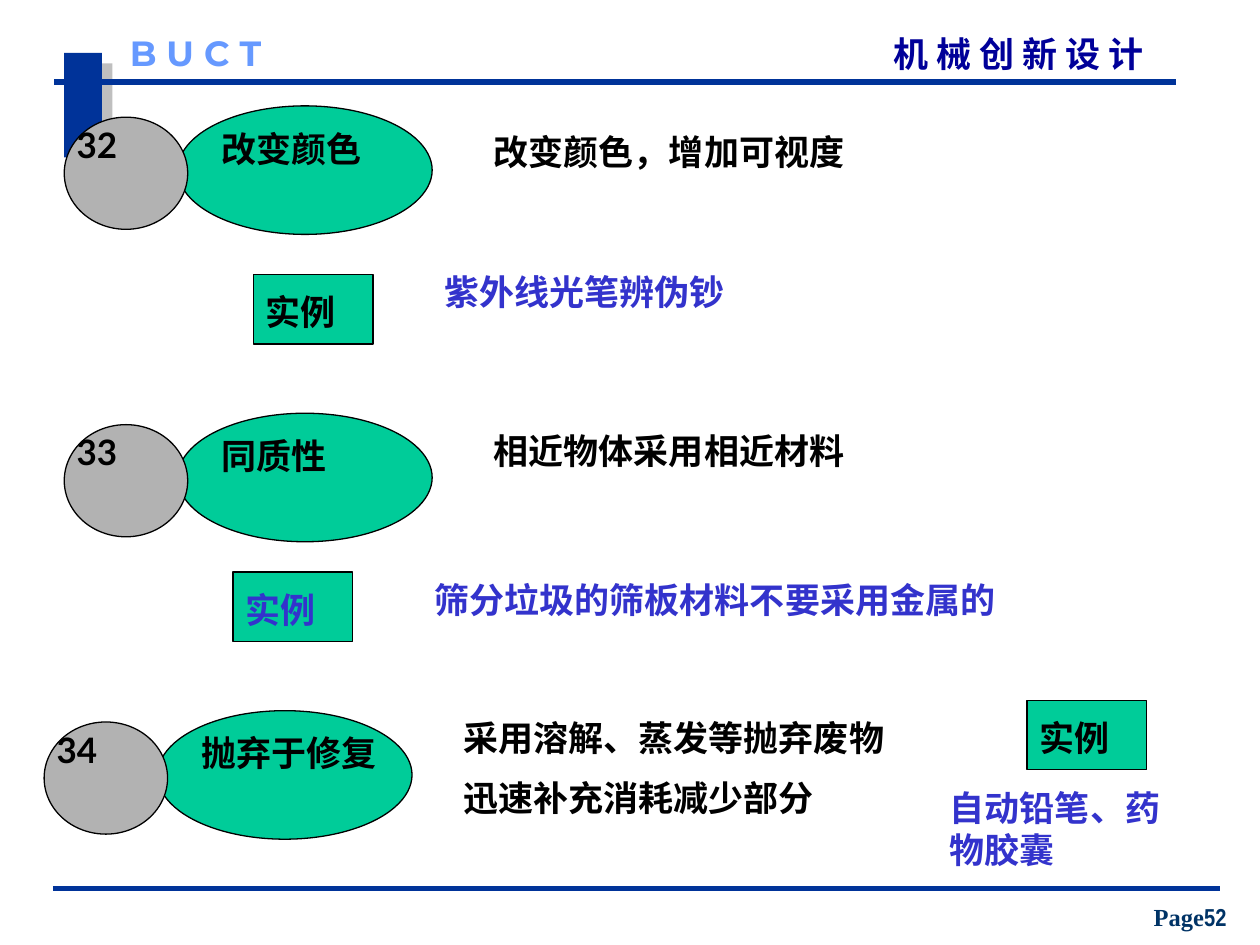
from dataclasses import dataclass

from lxml import etree
from pptx import Presentation
from pptx.dml.color import RGBColor
from pptx.enum import shapes as kinds, text as styles
from pptx.oxml.ns import qn
from pptx.util import Inches, Pt


@dataclass(frozen=True)
class Theme:
    """Colours, fonts and sizes of the deck."""
    navy: str = "003399"
    title: str = "000099"
    brand: str = "6699FF"
    page: str = "003366"
    green: str = "00CC99"
    gray: str = "B2B2B2"
    shade: str = "808080"
    ink: str = "000000"
    blue: str = "3333CC"
    body: str = "Lato"
    asian: str = "Noto Sans CJK SC"
    logo: str = "Montserrat"
    serif: str = "Times New Roman"
    narrow: str = "Arial Narrow"
    size: int = 20
    small: int = 14
    thin: float = 0.75
    thick: float = 3


T = Theme()


def rgb(code):
    """Turn a hex code into a colour."""
    return RGBColor.from_string(code)


def write(parts, box, lines, color=T.ink, font=T.body, size=T.size, inset=True):
    """Write bold lines in a text box and return its frame."""
    frame = parts.add_textbox(*map(Inches, box)).text_frame
    frame.word_wrap = True
    if not inset:
        frame.margin_left = frame.margin_right = 0
        frame.margin_top = frame.margin_bottom = 0
    frame.text = "\n".join(lines)
    for i, para in enumerate(frame.paragraphs):
        if i:
            para.space_before = Pt(size / 2)
        para.font.name = font
        para.font.size = Pt(size)
        para.font.bold = True
        para.font.color.rgb = rgb(color)
        etree.SubElement(para.font._rPr, qn("a:ea"), typeface=T.asian)
    return frame


def draw(parts, kind, box, fill, edge=True):
    """Draw a filled preset shape."""
    shape = parts.add_shape(kind, *map(Inches, box))
    shape.shadow.inherit = False
    shape.fill.solid()
    shape.fill.fore_color.rgb = rgb(fill)
    if edge:
        shape.line.color.rgb = rgb(T.ink)
        shape.line.width = Pt(T.thin)
    else:
        shape.line.fill.background()
    return shape


def cast(shape):
    """Give a shape a half-clear shadow to the lower right."""
    effects = shape._element.spPr.find(qn("a:effectLst"))
    outer = etree.SubElement(effects, qn("a:outerShdw"), dist=str(Pt(8.5)),
                             dir="2700000", algn="ctr", rotWithShape="0")
    tint = etree.SubElement(outer, qn("a:srgbClr"), val=T.shade)
    etree.SubElement(tint, qn("a:alpha"), val="50000")


def rule(parts, left, right, y):
    """Draw a thick level line."""
    line = parts.add_connector(kinds.MSO_CONNECTOR.STRAIGHT,
                               *map(Inches, (left, y, right, y)))
    line.line.color.rgb = rgb(T.navy)
    line.line.width = Pt(T.thick)
    etree.SubElement(line._element.spPr, qn("a:effectLst"))


def header(parts, left, top):
    """Place the tab, rule, school name and course title."""
    cast(draw(parts, kinds.MSO_SHAPE.RECTANGLE,
              (left + 0.08, top + 0.17, 0.3, 0.83), T.navy, False))
    rule(parts, left, left + 8.9, top + 0.4)
    write(parts, (left + 6.66, top + 0.01, 2.45, 0.33), ["机 械 创 新 设 计"],
          T.title, T.asian, inset=False)
    write(parts, (left + 0.6, top, 1.42, 0.33), ["B U C T"],
          T.brand, T.logo, inset=False)


def footer(parts, left, top):
    """Place the bottom rule and page number."""
    rule(parts, left, left + 9.26, top)
    frame = write(parts, (left + 8.55, top + 0.06, 0.95, 0.33), ["Page"],
                  T.page, T.serif, T.small)
    frame.vertical_anchor = styles.MSO_ANCHOR.BOTTOM
    para = frame.paragraphs[0]
    para.alignment = styles.PP_ALIGN.CENTER
    run = para.add_run()
    run.text = "52"
    run.font.name = T.narrow


def badge(parts, left, top, number, name):
    """Place a numbered disc beside a named oval."""
    group = parts.add_group_shape().shapes
    oval = kinds.MSO_SHAPE.OVAL
    draw(group, oval, (left + 0.9, top, 2.02, 1.02), T.green)
    write(group, (left + 1.15, top + 0.12, 1.64, 0.5), [name])
    draw(group, oval, (left, top + 0.09, 0.98, 0.89), T.gray)
    write(group, (left, top + 0.09, 0.65, 0.5), [number])


def sample(parts, left, top, color, note, box):
    """Place an example tag and its note."""
    group = parts.add_group_shape().shapes
    draw(group, kinds.MSO_SHAPE.RECTANGLE, (left, top, 0.95, 0.55), T.green)
    write(group, (left, top + 0.08, 0.95, 0.5), ["实例"], color)
    write(parts, box, [note], T.blue)


def main():
    """Build and save the slide."""
    deck = Presentation()
    deck.slide_width, deck.slide_height = Inches(10), Inches(7.5)
    parts = deck.slides.add_slide(deck.slide_layouts[6]).shapes
    header(parts, 0.43, 0.25)
    footer(parts, 0.42, 7.05)

    rows = [
        (0.51, 0.84, "32", "改变颜色", (3.82, 0.99, 4.41, 0.5),
         ["改变颜色，增加可视度"]),
        (0.51, 3.28, "33", "同质性", (3.82, 3.36, 5.12, 0.5),
         ["相近物体采用相近材料"]),
        (0.35, 5.64, "34", "抛弃于修复", (3.58, 5.64, 4.5, 1.1),
         ["采用溶解、蒸发等抛弃废物", "迅速补充消耗减少部分"]),
    ]
    for left, top, number, name, box, lines in rows:
        badge(parts, left, top, number, name)
        write(parts, box, lines)

    samples = [
        (2.01, 2.18, T.ink, "紫外线光笔辨伪钞", (3.43, 2.1, 3.39, 0.5)),
        (1.85, 4.54, T.blue, "筛分垃圾的筛板材料不要采用金属的",
         (3.35, 4.54, 5.75, 0.5)),
        (8.15, 5.56, T.ink, "自动铅笔、药物胶囊", (7.44, 6.19, 2.13, 0.9)),
    ]
    for entry in samples:
        sample(parts, *entry)
    deck.save("out.pptx")


if __name__ == "__main__":
    main()
